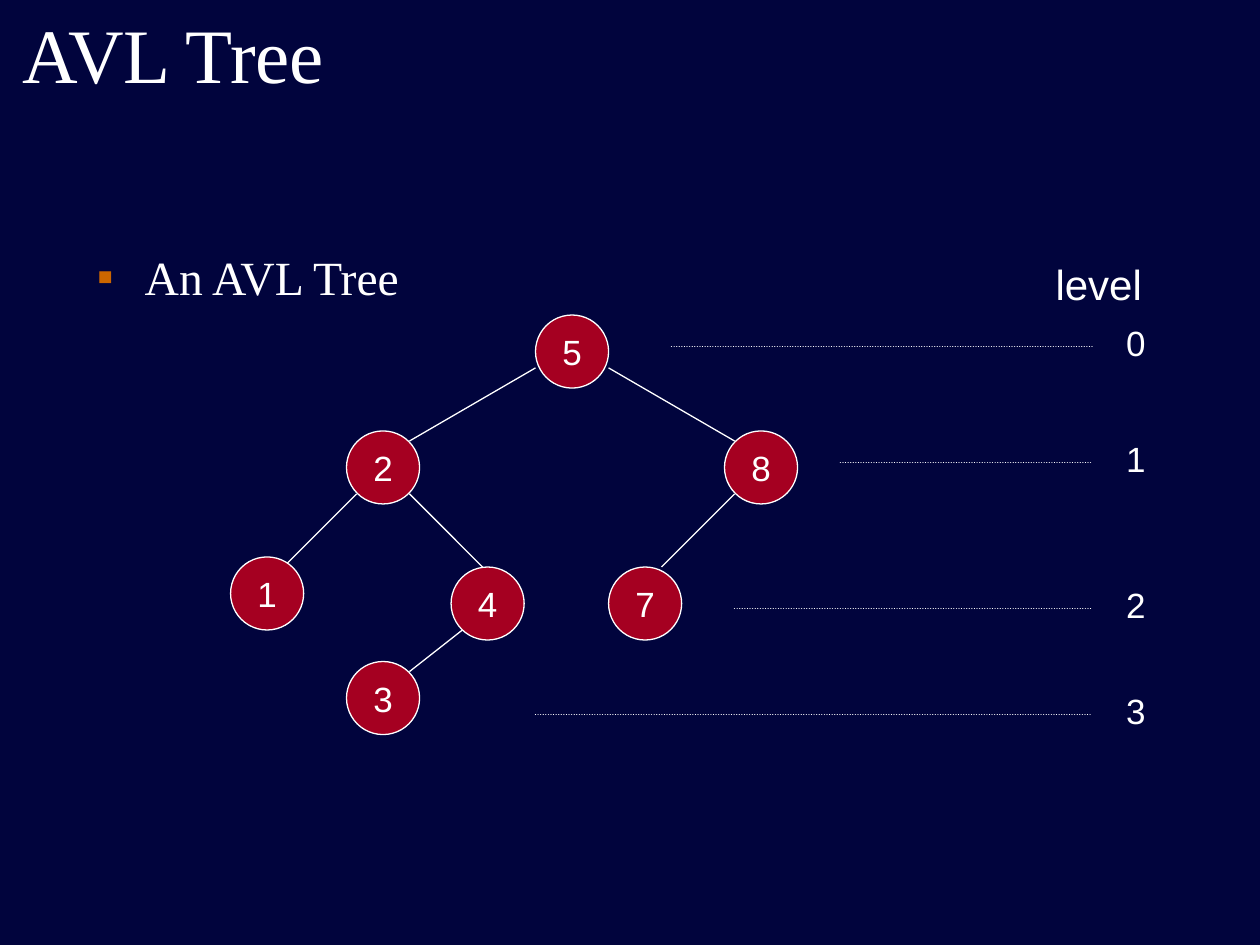
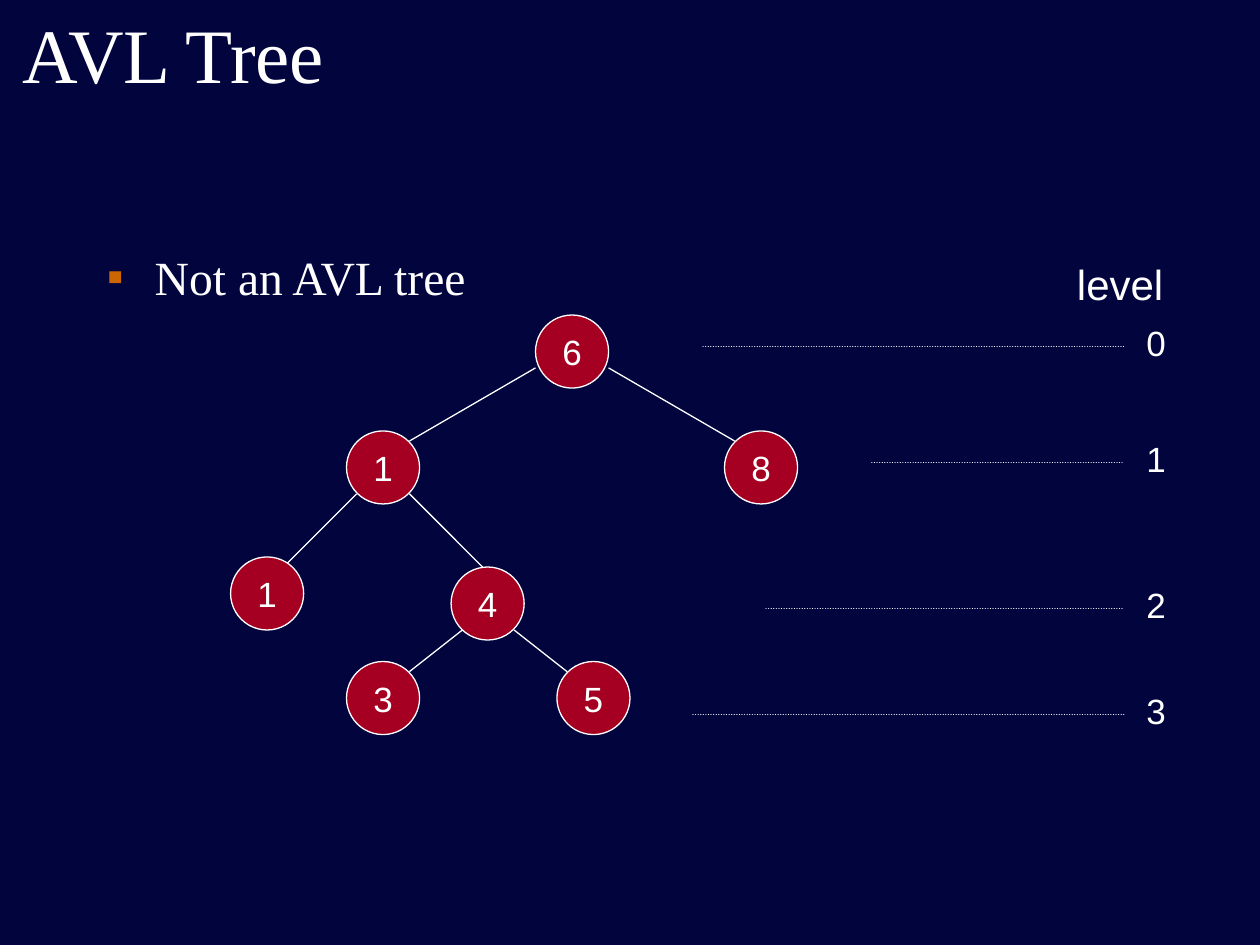
"""Build two slides that contrast an AVL tree with a tree that is not one."""
from typing import NamedTuple

import pptx
import pptx.dml.color
import pptx.enum.dml
import pptx.enum.shapes
import pptx.enum.text
import pptx.oxml
import pptx.oxml.ns
import pptx.presentation
import pptx.slide
import pptx.text.text
import pptx.util
from pptx.util import Inches

COLORS = {
    "background": "01043D",
    "text": "FFFFFF",
    "line": "FFFFFF",
    "node": "A50021",
    "bullet": "CC6600",
}
SERIF = "Times New Roman"
SANS = "Arial"
NODE_SIZE = 0.58
LINE_WIDTH = 0.75
LEVEL_HEIGHTS = (2.75, 3.67, 4.83, 5.67)


class Node(NamedTuple):
    value: str
    left: float
    top: float


class Line(NamedTuple):
    start_x: float
    start_y: float
    end_x: float
    end_y: float


class TextStyle(NamedTuple):
    font: str
    size: float
    centered: bool = False
    anchor: pptx.enum.text.MSO_ANCHOR = pptx.enum.text.MSO_ANCHOR.TOP


class TreeSlide(NamedTuple):
    caption: str
    caption_left: float
    nodes: tuple[Node, ...]
    edges: tuple[Line, ...]
    level_starts: tuple[float, ...]
    level_end: float
    level_label_left: float
    number_left: float


TITLE = TextStyle(SERIF, 44, anchor=pptx.enum.text.MSO_ANCHOR.MIDDLE)
CAPTION = TextStyle(SERIF, 27.2)
LEVEL_LABEL = TextStyle(SANS, 24, centered=True)
LEVEL_NUMBER = TextStyle(SANS, 20, centered=True)
NODE_TEXT = TextStyle(SANS, 20, centered=True, anchor=pptx.enum.text.MSO_ANCHOR.MIDDLE)

SHARED_EDGES = (
    Line(4.83, 2.92, 5.83, 3.5),
    Line(4.25, 2.92, 3.25, 3.5),
    Line(2.83, 3.92, 2.25, 4.5),
    Line(3.25, 3.92, 3.83, 4.5),
    Line(3.67, 5, 3.25, 5.33),
)


def shared_nodes(root: str, left_child: str) -> tuple[Node, ...]:
    """Return the six nodes that both trees have in the same places."""
    return (
        Node(root, 4.25, 2.5),
        Node("8", 5.75, 3.42),
        Node(left_child, 2.75, 3.42),
        Node("4", 3.58, 4.5),
        Node("3", 2.75, 5.25),
        Node("1", 1.83, 4.42),
    )


TREE_SLIDES = (
    TreeSlide(
        caption="An AVL Tree",
        caption_left=0.67,
        nodes=shared_nodes("5", "2") + (Node("7", 4.83, 4.5),),
        edges=SHARED_EDGES + (Line(5.83, 3.92, 5.25, 4.5),),
        level_starts=(5.33, 6.67, 5.83, 4.25),
        level_end=8.67,
        level_label_left=8.28,
        number_left=8.84,
    ),
    TreeSlide(
        caption="Not an AVL tree",
        caption_left=0.75,
        nodes=shared_nodes("6", "1") + (Node("5", 4.42, 5.25),),
        edges=SHARED_EDGES + (Line(4.08, 5, 4.5, 5.33),),
        level_starts=(5.58, 6.92, 6.08, 5.5),
        level_end=8.92,
        level_label_left=8.45,
        number_left=9,
    ),
)


def color(name: str) -> pptx.dml.color.RGBColor:
    """Look up a named colour."""
    return pptx.dml.color.RGBColor.from_string(COLORS[name])


def write_text(text_frame: pptx.text.text.TextFrame, text: str, style: TextStyle) -> None:
    """Fill a text frame with one styled paragraph."""
    text_frame.text = text
    text_frame.word_wrap = not style.centered
    text_frame.vertical_anchor = style.anchor
    paragraph = text_frame.paragraphs[0]
    paragraph.alignment = pptx.enum.text.PP_ALIGN.LEFT
    if style.centered:
        paragraph.alignment = pptx.enum.text.PP_ALIGN.CENTER
        text_frame.margin_left = text_frame.margin_right = 0
    font = paragraph.runs[0].font
    font.name = style.font
    font.size = pptx.util.Pt(style.size)
    font.color.rgb = color("text")


def add_text(slide: pptx.slide.Slide, text: str, left: float, top: float,
             width: float, height: float, style: TextStyle) -> pptx.text.text.TextFrame:
    """Add a text box and return its text frame."""
    shape = slide.shapes.add_textbox(Inches(left), Inches(top), Inches(width), Inches(height))
    write_text(shape.text_frame, text, style)
    return shape.text_frame


def add_caption(slide: pptx.slide.Slide, text: str, left: float) -> None:
    """Add the caption with its square bullet."""
    text_frame = add_text(slide, text, left, 1.92, 8.34, 0.59, CAPTION)
    properties = text_frame.paragraphs[0]._p.get_or_add_pPr()
    properties.set("marL", str(Inches(0.38)))
    properties.set("indent", str(Inches(-0.38)))
    namespace = pptx.oxml.ns.nsdecls("a")
    for element in (
        f'<a:buClr {namespace}><a:srgbClr val="{COLORS["bullet"]}"/></a:buClr>',
        f'<a:buFont {namespace} typeface="{SERIF}"/>',
        f'<a:buChar {namespace} char="▪"/>',
    ):
        properties.append(pptx.oxml.parse_xml(element))


def add_node(slide: pptx.slide.Slide, node: Node) -> None:
    """Draw a tree node with its value."""
    shape = slide.shapes.add_shape(
        pptx.enum.shapes.MSO_SHAPE.OVAL, Inches(node.left), Inches(node.top),
        Inches(NODE_SIZE), Inches(NODE_SIZE))
    shape.shadow.inherit = False
    shape.fill.solid()
    shape.fill.fore_color.rgb = color("node")
    shape.line.color.rgb = color("line")
    shape.line.width = pptx.util.Pt(LINE_WIDTH)
    write_text(shape.text_frame, node.value, NODE_TEXT)


def add_line(slide: pptx.slide.Slide, line: Line, dotted: bool = False) -> None:
    """Draw a straight line."""
    connector = slide.shapes.add_connector(
        pptx.enum.shapes.MSO_CONNECTOR.STRAIGHT, *(Inches(value) for value in line))
    connector.line.color.rgb = color("line")
    connector.line.width = pptx.util.Pt(LINE_WIDTH)
    properties = connector._element.spPr
    if dotted:
        connector.line.dash_style = pptx.enum.dml.MSO_LINE.ROUND_DOT
        properties.find(pptx.oxml.ns.qn("a:ln")).set("cap", "rnd")
    namespace = pptx.oxml.ns.nsdecls("a")
    properties.append(pptx.oxml.parse_xml(f"<a:effectLst {namespace}/>"))


def add_levels(slide: pptx.slide.Slide, tree: TreeSlide) -> None:
    """Draw the level scale at the right of the tree."""
    add_text(slide, "level", tree.level_label_left, 2, 0.88, 0.5, LEVEL_LABEL)
    for level, (start, height) in enumerate(zip(tree.level_starts, LEVEL_HEIGHTS)):
        add_line(slide, Line(start, height, tree.level_end, height), dotted=True)
        add_text(slide, str(level), tree.number_left, height - 0.25, 0.35, 0.44, LEVEL_NUMBER)


def add_tree_slide(presentation: pptx.presentation.Presentation, tree: TreeSlide) -> None:
    """Add one slide with title, caption, tree and levels."""
    slide = presentation.slides.add_slide(presentation.slide_layouts[6])
    slide.background.fill.solid()
    slide.background.fill.fore_color.rgb = color("background")
    add_text(slide, "AVL Tree", 0.08, -0.08, 9, 1, TITLE)
    add_caption(slide, tree.caption, tree.caption_left)
    for edge in tree.edges:
        add_line(slide, edge)
    for node in tree.nodes:
        add_node(slide, node)
    add_levels(slide, tree)


def main() -> None:
    """Build and save the presentation."""
    presentation = pptx.Presentation()
    presentation.slide_width = Inches(10)
    presentation.slide_height = Inches(7.5)
    for tree in TREE_SLIDES:
        add_tree_slide(presentation, tree)
    presentation.save("out.pptx")


if __name__ == "__main__":
    main()
